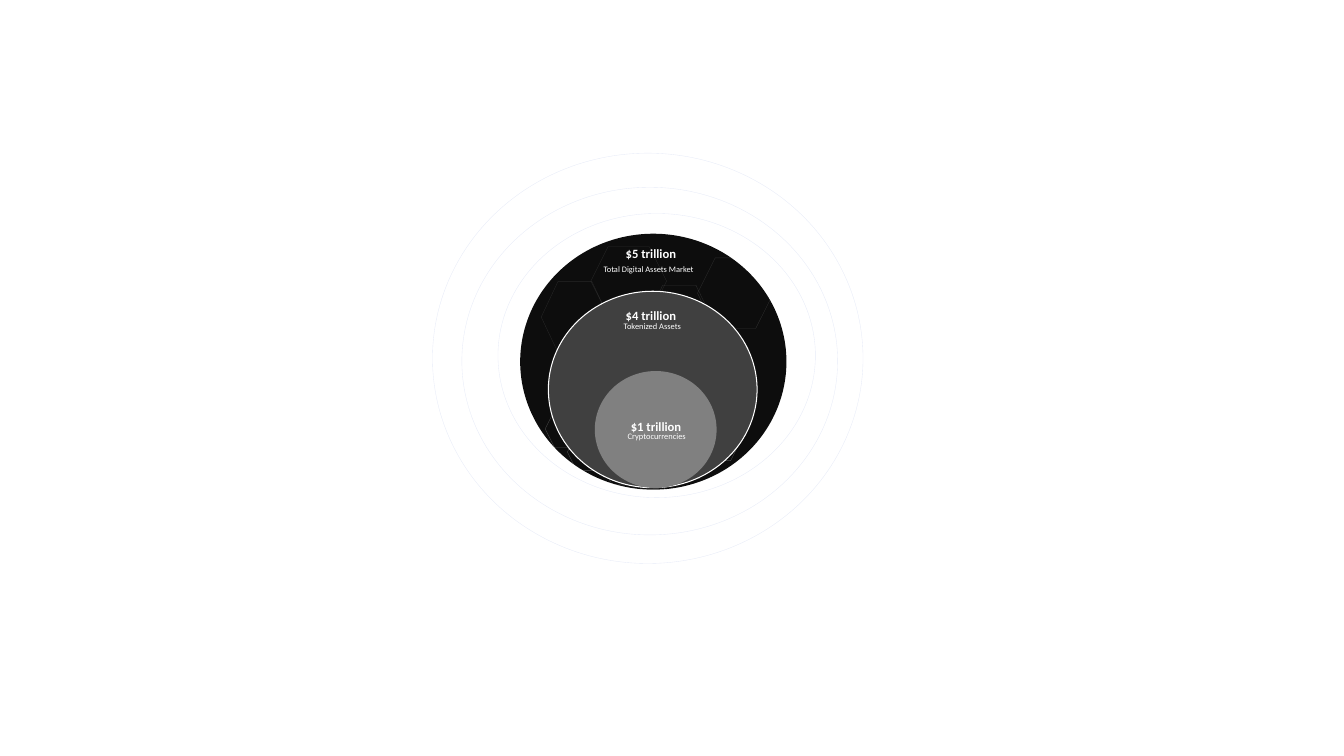
import pptx
import pptx.util
import pptx.dml.color
import pptx.enum.shapes
import pptx.enum.text
import pptx.oxml.ns
import lxml.etree

Cm = pptx.util.Cm
Pt = pptx.util.Pt
RGB = pptx.dml.color.RGBColor
KIND = pptx.enum.shapes.MSO_SHAPE

WHITE = RGB(0xFF, 0xFF, 0xFF)
BLACK = RGB(0x0D, 0x0D, 0x0D)
DARK = RGB(0x40, 0x40, 0x40)
GREY = RGB(0x80, 0x80, 0x80)
BLUE = RGB(0x1D, 0x44, 0xBD)

# Offsets from the market box and sizes, in cm
RINGS = [(1.65, 1.52, 8, 7.16), (0.74, 0.86, 9.47, 8.76), (0, 0, 10.85, 10.34)]
SMALL = [(6.71, 6.81), (5.92, 7.26), (5.03, 7.54),
         (4.29, 7.42), (3.4, 7.06), (2.84, 6.48)]
LARGE = [((2.74, 3.23, 1.7, 1.8), 10), ((3.99, 2.36, 1.91, 1.73), 11),
         ((5.38, 3.33, 1.68, 1.73), 12), ((6.68, 2.64, 1.91, 1.78), 13)]
# Amount and its place, label and its place
LABELS = [("$5 trillion", 4.62, 2.21, "Total Digital Assets Market", 4.06, 2.67),
          ("$4 trillion", 4.62, 3.78, "Tokenized Assets", 4.57, 4.11),
          ("$1 trillion", 4.75, 6.58, "Cryptocurrencies", 4.67, 6.88)]


def place(box, part):
    x, y, w, h = part
    return Cm(box[0] + x), Cm(box[1] + y), Cm(w), Cm(h)


def draw(slide, kind, box, part, fill=None, line=None, width=0.25, alpha=100):
    shape = slide.shapes.add_shape(kind, *place(box, part))
    shape.shadow.inherit = False
    if fill is None:
        shape.fill.background()
    else:
        shape.fill.solid()
        shape.fill.fore_color.rgb = fill
    if line is None:
        shape.line.fill.background()
        return
    shape.line.color.rgb = line
    shape.line.width = Pt(width)
    if alpha < 100:
        qn = pptx.oxml.ns.qn
        tint = shape.line._ln.find(".//" + qn("a:srgbClr"))
        lxml.etree.SubElement(tint, qn("a:alpha"), val=str(alpha * 1000))


def write(slide, text, box, part, size=6, bold=False):
    frame = slide.shapes.add_textbox(*place(box, part)).text_frame
    frame.word_wrap = True
    frame.auto_size = pptx.enum.text.MSO_AUTO_SIZE.SHAPE_TO_FIT_TEXT
    run = frame.paragraphs[0].add_run()
    run.text = text
    run.font.name = "Calibri"
    run.font.size = Pt(size)
    run.font.bold = bold
    run.font.color.rgb = WHITE


def market(slide, box):
    # Total market with its hexagon pattern
    draw(slide, KIND.OVAL, box, (2.21, 2.03, 6.71, 6.45), fill=BLACK)
    cells = [((x, y, 1.04, 0.94), 26) for x, y in SMALL] + LARGE
    for part, alpha in cells:
        draw(slide, KIND.HEXAGON, box, part, line=WHITE, alpha=alpha)

    # Nested markets
    draw(slide, KIND.OVAL, box, (2.92, 3.48, 5.26, 4.95),
         fill=DARK, line=WHITE, width=0.75)
    draw(slide, KIND.OVAL, box, (4.09, 5.49, 3.07, 2.95), fill=GREY)

    # Faint outer rings
    for part in RINGS:
        draw(slide, KIND.OVAL, box, part, line=BLUE, alpha=9)

    # Amounts and labels
    for sum_, x, y, label, left, top in LABELS:
        write(slide, sum_, box, (x, y, 4.11, 0.66), size=9, bold=True)
        write(slide, label, box, (left, top, 4.88, 0.53))


deck = pptx.Presentation()
deck.slide_width = Cm(33.87)
deck.slide_height = Cm(19.05)
page = deck.slides.add_slide(deck.slide_layouts[6])
market(page, (10.9, 3.86))
deck.save("out.pptx")
